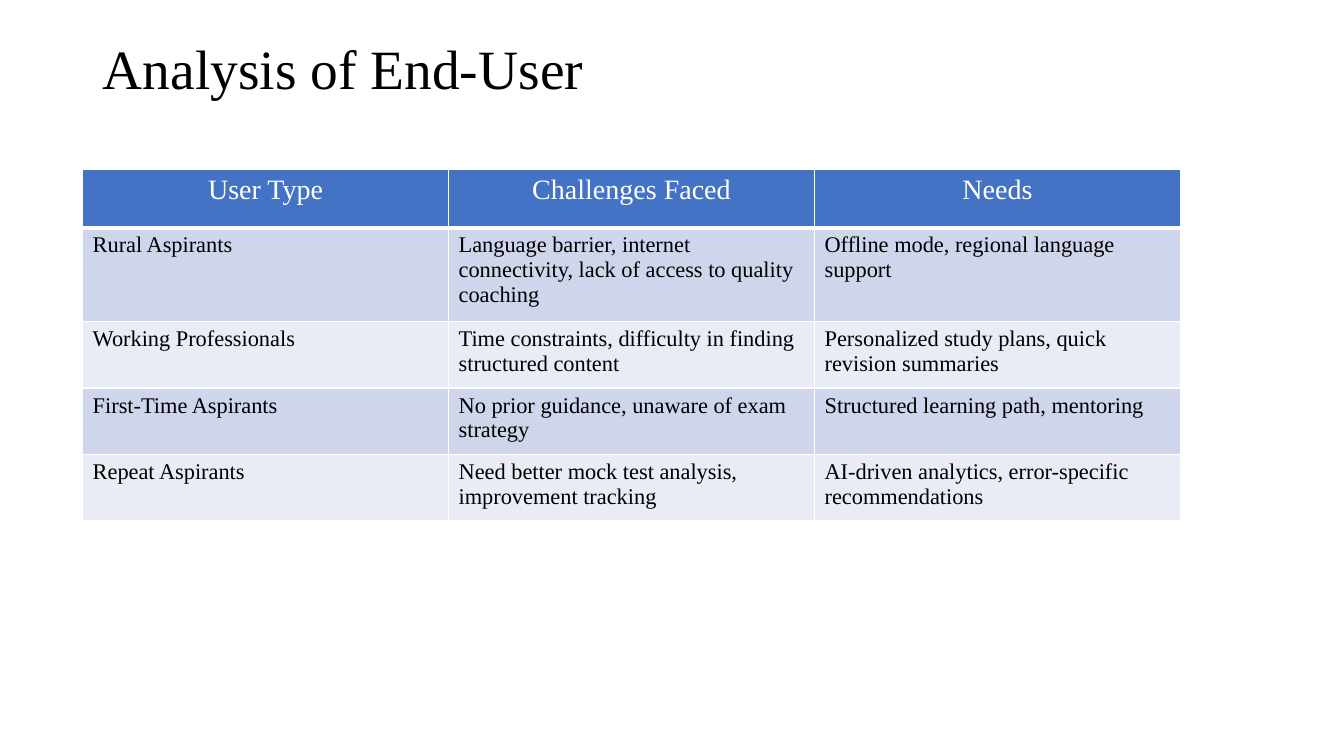
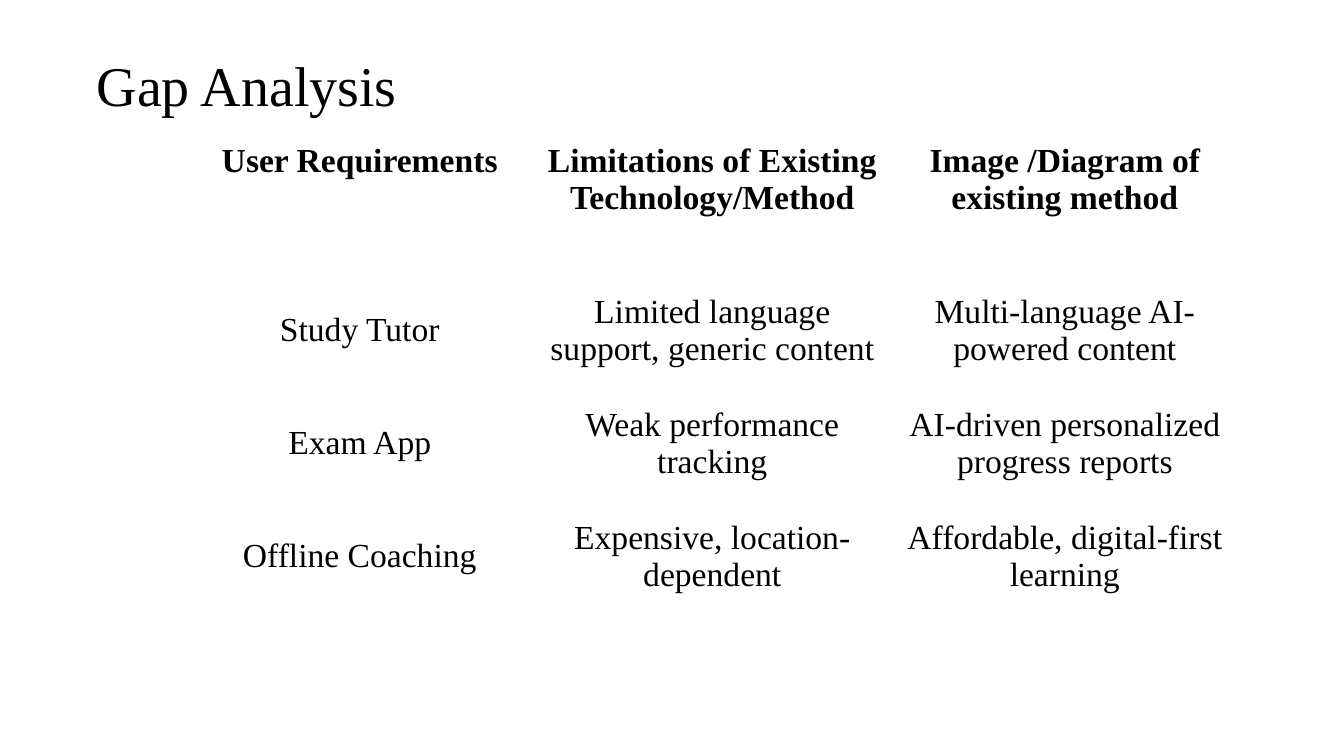
from lxml import etree
from pptx import Presentation, util as u
from pptx.dml.color import RGBColor
from pptx.enum import text
from pptx.oxml.ns import qn

FONT = "Times New Roman"
BLACK, WHITE, BLUE = "000000", "FFFFFF", "4472C4"
BANDS = ["CFD5EA", "E9EBF5"]
LEFT, CENTER = text.PP_ALIGN.LEFT, text.PP_ALIGN.CENTER
TOP, MIDDLE = text.MSO_ANCHOR.TOP, text.MSO_ANCHOR.MIDDLE

presentation = Presentation()
presentation.slide_width = u.Inches(13.33)
presentation.slide_height = u.Inches(7.5)
across = presentation.slide_width / 100
down = presentation.slide_height / 100


def write(frame, words, color, align, **font_format):
    frame.text = words
    paragraph = frame.paragraphs[0]
    paragraph.alignment = align
    font = paragraph.runs[0].font
    for name, value in {"name": FONT, "bold": False, **font_format}.items():
        setattr(font, name, value)
    font.color.rgb = RGBColor.from_string(color)
    return paragraph


def add_border(cell, sides):
    properties = cell._tc.get_or_add_tcPr()
    for position, (side, points) in enumerate(sides.items()):
        line = etree.Element(qn(f"a:ln{side}"), w=str(u.Pt(points)))
        fill = etree.SubElement(line, qn("a:solidFill"))
        etree.SubElement(fill, qn("a:srgbClr"), val=WHITE)
        properties.insert(position, line)


slides = [
    {
        "title": "Analysis of End-User",
        "title_box": (6.9, 5.33, 86.27, 8.67),
        "title_size": 39.6,
        "title_spacing": 0.8,
        "title_anchor": MIDDLE,
        "corner": (6.15, 22.4),
        "column": 27.23,
        "row_heights": [7.73, 12.4, 8.8, 8.8, 8.8],
        "header": {"size": u.Pt(20), "color": WHITE, "align": CENTER},
        "body": {"size": u.Pt(16), "color": BLACK, "align": LEFT},
        "body_anchor": TOP,
        "filled": True,
        "rows": [
            ["User Type", "Challenges Faced", "Needs"],
            ["Rural Aspirants",
             "Language barrier, internet connectivity, lack of access to quality coaching",
             "Offline mode, regional language support"],
            ["Working Professionals",
             "Time constraints, difficulty in finding structured content",
             "Personalized study plans, quick revision summaries"],
            ["First-Time Aspirants",
             "No prior guidance, unaware of exam strategy",
             "Structured learning path, mentoring"],
            ["Repeat Aspirants",
             "Need better mock test analysis, improvement tracking",
             "AI-driven analytics, error-specific recommendations"],
        ],
    },
    {
        "title": "Gap Analysis",
        "title_box": (6.45, 6, 24.31, 10.27),
        "title_size": 40,
        "title_spacing": 1.0,
        "title_anchor": TOP,
        "corner": (13.65, 18.13),
        "column": 26.23,
        "row_heights": [18.13, 14.93, 14.93, 14.93],
        "header": {"size": u.Pt(24), "color": BLACK, "align": CENTER, "bold": True},
        "body": {"size": u.Pt(24), "color": BLACK, "align": CENTER},
        "body_anchor": MIDDLE,
        "filled": False,
        "rows": [
            ["User Requirements",
             "Limitations of Existing Technology/Method",
             "Image /Diagram of existing method"],
            ["Study Tutor",
             "Limited language support, generic content",
             "Multi-language AI-powered content"],
            ["Exam App",
             "Weak performance tracking",
             "AI-driven personalized progress reports"],
            ["Offline Coaching",
             "Expensive, location-dependent",
             "Affordable, digital-first learning"],
        ],
    },
]

for content in slides:
    slide = presentation.slides.add_slide(presentation.slide_layouts[5])

    title = slide.shapes.title
    left, top, width, height = content["title_box"]
    box = {"left": left * across, "top": top * down,
           "width": width * across, "height": height * down}
    for name, value in box.items():
        setattr(title, name, round(value))
    frame_format = {"word_wrap": True, "auto_size": text.MSO_AUTO_SIZE.NONE,
                    "vertical_anchor": content["title_anchor"]}
    for name, value in frame_format.items():
        setattr(title.text_frame, name, value)
    paragraph = write(title.text_frame, content["title"], BLACK, LEFT,
                      size=u.Pt(content["title_size"]))
    paragraph.line_spacing = content["title_spacing"]

    rows, heights = content["rows"], content["row_heights"]
    left, top = content["corner"]
    table = slide.shapes.add_table(
        len(rows), len(rows[0]), round(left * across), round(top * down),
        round(content["column"] * len(rows[0]) * across),
        round(sum(heights) * down)).table
    table.first_row = table.horz_banding = False
    for column in table.columns:
        column.width = round(content["column"] * across)

    for row_number, row in enumerate(rows):
        table.rows[row_number].height = round(heights[row_number] * down)
        is_header = row_number == 0
        for column_number, words in enumerate(row):
            cell = table.cell(row_number, column_number)
            write(cell.text_frame, words, **content["header" if is_header else "body"])
            cell.vertical_anchor = TOP if is_header else content["body_anchor"]
            if content["filled"]:
                cell.fill.solid()
                color = BLUE if is_header else BANDS[(row_number - 1) % 2]
                cell.fill.fore_color.rgb = RGBColor.from_string(color)
                add_border(cell, {"L": 1, "R": 1, "T": 3 if row_number == 1 else 1,
                                  "B": 3 if is_header else 1})
            else:
                cell.fill.background()

presentation.save("out.pptx")
